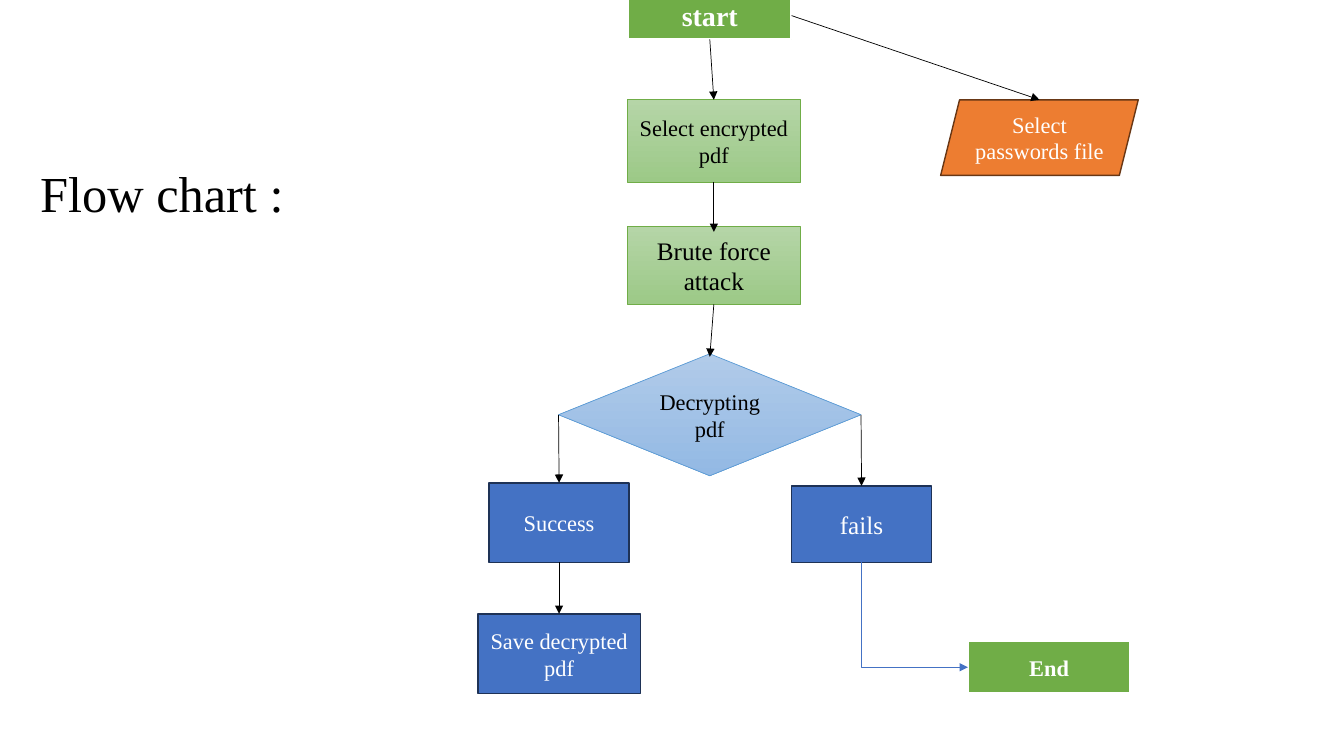
from lxml import etree
from pptx import Presentation
from pptx import util as u
from pptx.dml.color import RGBColor
from pptx.enum import shapes, text
from pptx.oxml.ns import qn

FONT = "Times New Roman"
COLORS = {
    "black": "000000", "white": "FFFFFF", "green": "70AD47",
    "green_top": "B5D5A7", "green_bottom": "9CC987",
    "sky": "5B9BD5", "sky_top": "B1CBE9", "sky_bottom": "93B9E4",
    "orange": "ED7D31", "brown": "683715", "blue": "4472C4", "navy": "1E3256",
}
STYLES = {
    "terminal": (["green"], "white", 1.5, "white", True),
    "process": (["green_top", "green_bottom"], "green", 0.5, "black", False),
    "decision": (["sky_top", "sky_bottom"], "sky", 0.5, "black", False),
    "input": (["orange"], "brown", 1, "white", False),
    "result": (["blue"], "navy", 1, "white", False),
}
PRESETS = {
    "decision": shapes.MSO_SHAPE.DIAMOND,
    "input": shapes.MSO_SHAPE.PARALLELOGRAM,
}
NODES = {
    "brute": ("process", "Brute force attack", 18, (1.48, 2.25, 1.72, 0.77)),
    "select": ("process", "Select encrypted pdf", 16, (1.48, 0.99, 1.72, 0.82)),
    "start": ("terminal", "start", 20, (1.49, -0.08, 1.62, 0.47)),
    "decrypt": ("decision", "Decrypting pdf", 16, (0.8, 3.51, 3, 1.21)),
    "passwords": ("input", "Select passwords file", 16, (4.59, 0.99, 1.96, 0.75)),
    "success": ("result", "Success", 16, (0.11, 4.79, 1.39, 0.79)),
    "fails": ("result", "fails", 18, (3.11, 4.82, 1.39, 0.76)),
    "end": ("terminal", "End", 16, (4.86, 6.36, 1.61, 0.52)),
    "save": ("result", "Save decrypted pdf", 16, (0, 6.09, 1.61, 0.79)),
}
ARROWS = [
    ("start", "bottom", "select", 0),
    ("select", "bottom", "brute", 0.05),
    ("brute", "bottom", "decrypt", 0.03),
    ("start", "right", "passwords", 0),
    ("decrypt", "left", "success", 0),
    ("decrypt", "right", "fails", 0),
    ("success", "bottom", "save", 0),
]


def rgb(name):
    return RGBColor.from_string(COLORS[name])


def add_text(tf, words, size, color, bold=False):
    tf.word_wrap = True
    tf.vertical_anchor = text.MSO_ANCHOR.MIDDLE
    p = tf.paragraphs[0]
    r = p.add_run()
    r.text = words
    r.font.name = FONT
    r.font.size = u.Pt(size)
    r.font.bold = bold
    r.font.color.rgb = rgb(color)
    return p


def add_title(s, box):
    tb = s.shapes.add_textbox(*map(u.Inches, box))
    p = add_text(tb.text_frame, "Flow chart :", 36, "black")
    p.line_spacing = 0.9


def add_node(s, box, kind, words, size):
    fills, line, width, color, bold = STYLES[kind]
    preset = PRESETS.get(kind, shapes.MSO_SHAPE.RECTANGLE)
    sp = s.shapes.add_shape(preset, *map(u.Inches, box))
    sp.shadow.inherit = False
    if len(fills) == 1:
        sp.fill.solid()
        sp.fill.fore_color.rgb = rgb(fills[0])
    else:
        sp.fill.gradient()
        sp.fill.gradient_angle = 270
        for stop, name in zip(sp.fill.gradient_stops, fills):
            stop.color.rgb = rgb(name)
    sp.line.color.rgb = rgb(line)
    sp.line.width = u.Pt(width)
    p = add_text(sp.text_frame, words, size, color, bold)
    p.alignment = text.PP_ALIGN.CENTER


def side(box, name):
    x, y, w, h = box
    return {
        "top": (x + w / 2, y), "bottom": (x + w / 2, y + h),
        "left": (x, y + h / 2), "right": (x + w, y + h / 2),
    }[name]


def add_arrow(s, kind, begin, end, color):
    c = s.shapes.add_connector(kind, *map(u.Inches, begin + end))
    c.line.color.rgb = rgb(color)
    c.line.width = u.Pt(0.5)
    ln = c.line._get_or_add_ln()
    etree.SubElement(ln, qn("a:tailEnd"), type="triangle")
    etree.SubElement(c._element.spPr, qn("a:effectLst"))
    return c


def add_corner_arrow(s, begin, end, color):
    w, h = end[0] - begin[0], end[1] - begin[1]
    left, top = begin[0] + (w - h) / 2, begin[1] + (h - w) / 2
    c = add_arrow(s, shapes.MSO_CONNECTOR.ELBOW, (left, top), (left + h, top + w), color)
    spPr = c._element.spPr
    spPr.find(qn("a:prstGeom")).set("prst", "bentConnector2")
    xfrm = spPr.find(qn("a:xfrm"))
    xfrm.set("rot", str(270 * 60000))
    xfrm.set("flipH", "1")


def add_flow_chart(s, left, top):
    boxes = {}
    for name, (kind, words, size, (x, y, w, h)) in NODES.items():
        boxes[name] = (left + x, top + y, w, h)
        add_node(s, boxes[name], kind, words, size)
    for source, exit_side, target, overlap in ARROWS:
        x, y = side(boxes[target], "top")
        begin = side(boxes[source], exit_side)
        add_arrow(s, shapes.MSO_CONNECTOR.STRAIGHT, begin, (x, y + overlap), "black")
    add_corner_arrow(s, side(boxes["fails"], "bottom"), side(boxes["end"], "left"), "blue")


def main():
    prs = Presentation()
    prs.slide_width, prs.slide_height = u.Inches(13.33), u.Inches(7.5)
    s = prs.slides.add_slide(prs.slide_layouts[6])
    add_title(s, (0.3, 1.22, 5.43, 1.45))
    add_flow_chart(s, 4.74, 0)
    prs.save("out.pptx")


if __name__ == "__main__":
    main()
